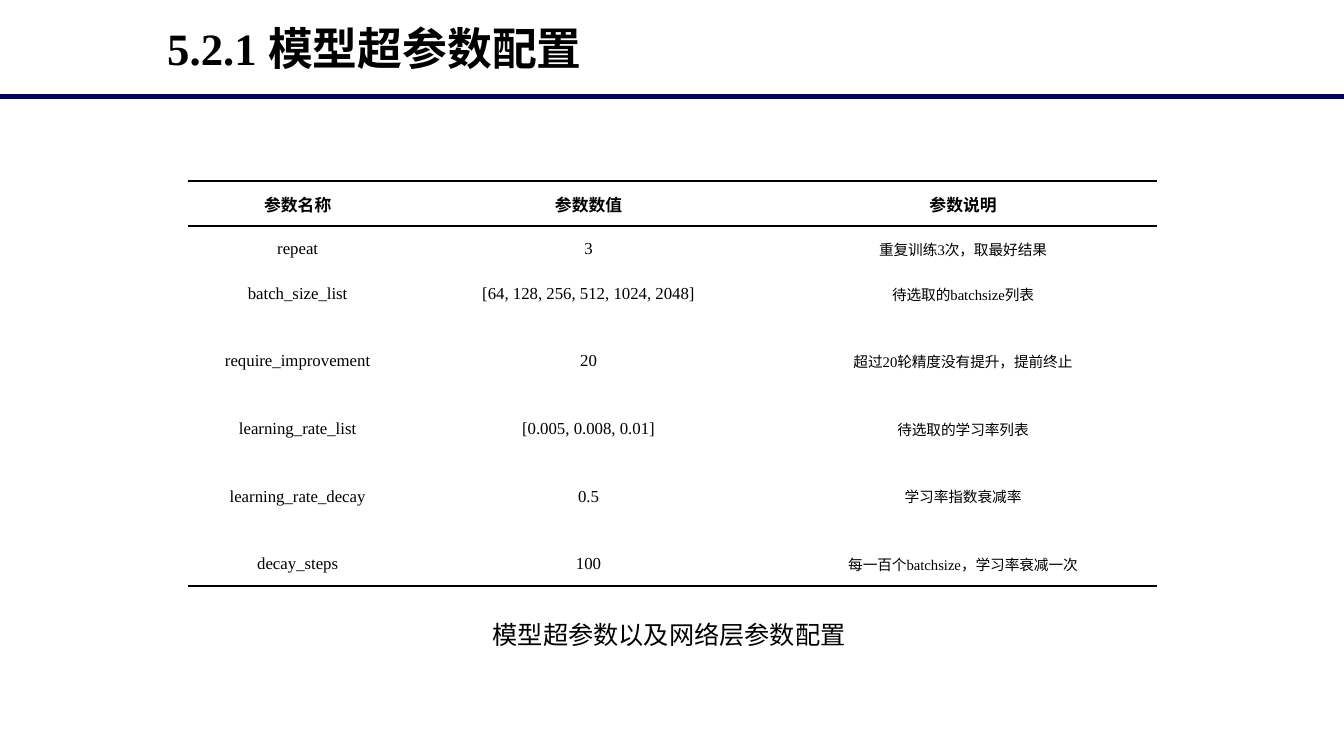
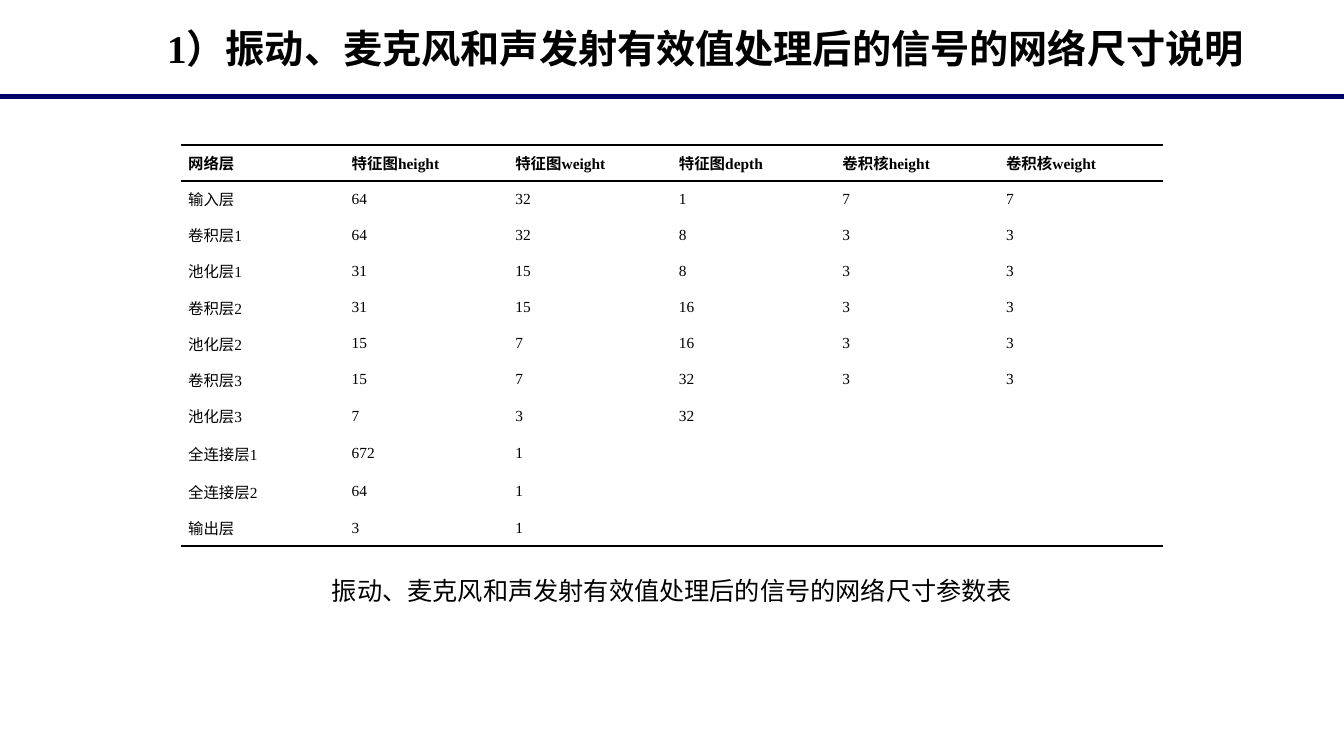
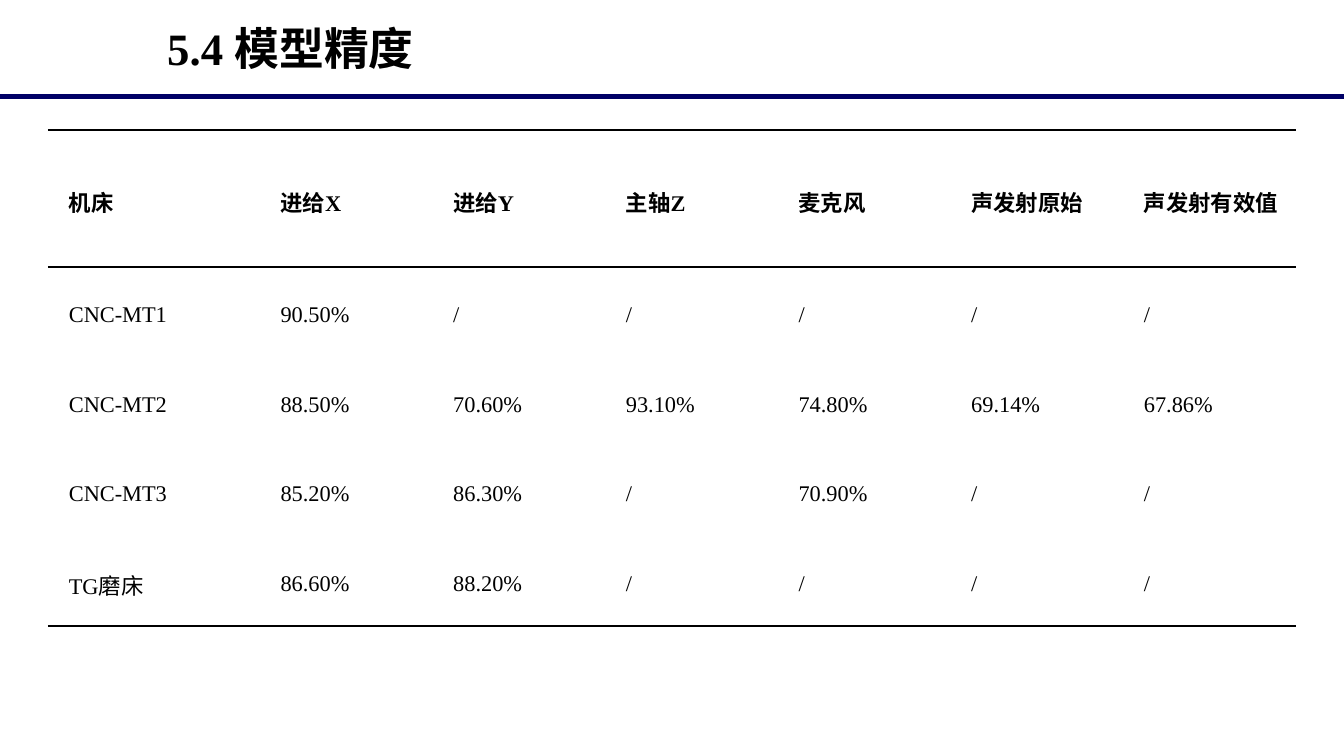
import pptx
import pptx.dml.color
import pptx.enum.shapes
import pptx.enum.text
import pptx.oxml.ns
import pptx.util
from lxml import etree

Pt = pptx.util.Pt
RGBColor = pptx.dml.color.RGBColor
Align = pptx.enum.text.PP_ALIGN
Anchor = pptx.enum.text.MSO_ANCHOR
qn = pptx.oxml.ns.qn

BLACK = RGBColor(0x00, 0x00, 0x00)
NAVY = RGBColor(0x00, 0x00, 0x66)
WHITE = RGBColor(0xFF, 0xFF, 0xFF)
SERIF = "Times New Roman"
SANS = "Arial"

SLIDE_WIDTH, SLIDE_HEIGHT = 960, 540
TITLE_BOX = (112.3, 8.6, 840, 51)
RULE_TOP = 69.1
RULE_WEIGHT = 3.25
BORDER_WEIGHT = 1.5
CELL_MARGIN = 5
PLAIN_TABLE_STYLE = "{2D5ABB26-0587-4C30-8999-92F81FD0307C}"

HYPERPARAMETERS = [
    ["参数名称", "参数数值", "参数说明"],
    ["repeat", "3", "重复训练3次，取最好结果"],
    ["batch_size_list", "[64, 128, 256, 512, 1024, 2048]", "待选取的batchsize列表"],
    ["require_improvement", "20", "超过20轮精度没有提升，提前终止"],
    ["learning_rate_list", "[0.005, 0.008, 0.01]", "待选取的学习率列表"],
    ["learning_rate_decay", "0.5", "学习率指数衰减率"],
    ["decay_steps", "100", "每一百个batchsize，学习率衰减一次"],
]
NETWORK_LAYERS = [
    ["网络层", "特征图height", "特征图weight", "特征图depth", "卷积核height", "卷积核weight"],
    ["输入层", "64", "32", "1", "7", "7"],
    ["卷积层1", "64", "32", "8", "3", "3"],
    ["池化层1", "31", "15", "8", "3", "3"],
    ["卷积层2", "31", "15", "16", "3", "3"],
    ["池化层2", "15", "7", "16", "3", "3"],
    ["卷积层3", "15", "7", "32", "3", "3"],
    ["池化层3", "7", "3", "32", "", ""],
    ["全连接层1", "672", "1", "", "", ""],
    ["全连接层2", "64", "1", "", "", ""],
    ["输出层", "3", "1", "", "", ""],
]
ACCURACY = [
    ["机床", "进给X", "进给Y", "主轴Z", "麦克风", "声发射原始", "声发射有效值"],
    ["CNC-MT1", "90.50%", "/", "/", "/", "/", "/"],
    ["CNC-MT2", "88.50%", "70.60%", "93.10%", "74.80%", "69.14%", "67.86%"],
    ["CNC-MT3", "85.20%", "86.30%", "/", "70.90%", "/", "/"],
    ["TG磨床", "86.60%", "88.20%", "/", "/", "/", "/"],
]


def format_text(para, size, font=SERIF, bold=False):
    for span in para.runs:
        span.font.name = font
        span.font.size = Pt(size)
        span.font.bold = bold
        span.font.color.rgb = BLACK


def add_text(slide, area, text, size, font=SERIF, bold=False, align=Align.LEFT, anchor=Anchor.TOP):
    box = slide.shapes.add_textbox(*map(Pt, area))
    box.text_frame.word_wrap = True
    box.text_frame.vertical_anchor = anchor
    para = box.text_frame.paragraphs[0]
    para.text = text
    para.alignment = align
    format_text(para, size, font, bold)


def add_titled_slide(deck, title, size=32):
    slide = deck.slides.add_slide(deck.slide_layouts[6])
    slide.background.fill.solid()
    slide.background.fill.fore_color.rgb = WHITE
    rule = slide.shapes.add_connector(
        pptx.enum.shapes.MSO_CONNECTOR.STRAIGHT, 0, Pt(RULE_TOP), Pt(SLIDE_WIDTH), Pt(RULE_TOP))
    rule.line.color.rgb = NAVY
    rule.line.width = Pt(RULE_WEIGHT)
    etree.SubElement(rule._element.spPr, qn("a:effectLst"))
    add_text(slide, TITLE_BOX, title, size, bold=True, anchor=Anchor.MIDDLE)
    return slide


def add_caption(slide, area, text, font=SERIF):
    add_text(slide, area, text, 18, font, align=Align.CENTER)


def set_borders(cell, sides):
    """Draw the given sides ("T", "B") of a cell and hide the others."""
    properties = cell._tc.get_or_add_tcPr()
    for position, side in enumerate("LRTB"):
        border = etree.Element(qn("a:ln" + side))
        if side in sides:
            border.set("w", str(Pt(BORDER_WEIGHT)))
            fill = etree.SubElement(border, qn("a:solidFill"))
            etree.SubElement(fill, qn("a:srgbClr")).set("val", str(BLACK))
        else:
            border.set("w", "0")
            etree.SubElement(border, qn("a:noFill"))
        properties.insert(position, border)


def add_ruled_table(slide, left, top, widths, heights, rows, size,
                    align=Align.LEFT, indent=0, spacing=None, last_column_size=None):
    """Add a table ruled above and below its header and below its last row."""
    frame = slide.shapes.add_table(
        len(rows), len(widths), Pt(left), Pt(top), Pt(sum(widths)), Pt(sum(heights)))
    table = frame.table
    table._tbl.tblPr.find(qn("a:tableStyleId")).text = PLAIN_TABLE_STYLE
    table.horz_banding = False
    for column, width in zip(table.columns, widths):
        column.width = Pt(width)
    for row, height in zip(table.rows, heights):
        row.height = Pt(height)

    last_row, last_column = len(rows) - 1, len(widths) - 1
    for row_index, texts in enumerate(rows):
        sides = {0: "TB", 1: "T", last_row: "B"}.get(row_index, "")
        for column_index, text in enumerate(texts):
            cell = table.cell(row_index, column_index)
            cell.fill.background()
            set_borders(cell, sides)
            cell.vertical_anchor = Anchor.MIDDLE
            cell.margin_left = cell.margin_right = Pt(CELL_MARGIN)
            cell.margin_top = cell.margin_bottom = 0
            para = cell.text_frame.paragraphs[0]
            para.text = text
            para.alignment = align
            if spacing:
                para.line_spacing = spacing
            if indent:
                para._p.get_or_add_pPr().set("indent", str(Pt(indent)))
            is_note = last_column_size and row_index and column_index == last_column
            format_text(para, last_column_size if is_note else size, bold=row_index == 0)


def add_hyperparameter_slide(deck):
    slide = add_titled_slide(deck, "5.2.1 模型超参数配置")
    single = 32.16
    heights = [single * lines for lines in (1, 1, 1, 2, 1, 2, 1)]
    add_ruled_table(slide, 134.2, 129.5, [157, 258.5, 276.5], heights, HYPERPARAMETERS,
                    12, align=Align.CENTER, last_column_size=10.5)
    add_caption(slide, (338, 438.5, 280, 29), "模型超参数以及网络层参数配置")


def add_network_slide(deck):
    slide = add_titled_slide(deck, "1）振动、麦克风和声发射有效值处理后的信号的网络尺寸说明", 28)
    heights = [25.75] * 7 + [26.85] * 3 + [25.75]
    add_ruled_table(slide, 129.4, 103.6, [116.85] * 6, heights, NETWORK_LAYERS, 11)
    add_caption(slide, (203.5, 407.5, 553, 29),
                "振动、麦克风和声发射有效值处理后的信号的网络尺寸参数表", SANS)


def add_accuracy_slide(deck):
    slide = add_titled_slide(deck, "5.4 模型精度")
    add_ruled_table(slide, 34.2, 92.7, [151.2] + [123.35] * 6, [97.8] + [64.15] * 4,
                    ACCURACY, 16, indent=10, spacing=1.25)


def main():
    deck = pptx.Presentation()
    deck.slide_width, deck.slide_height = Pt(SLIDE_WIDTH), Pt(SLIDE_HEIGHT)
    add_hyperparameter_slide(deck)
    add_network_slide(deck)
    add_accuracy_slide(deck)
    deck.save("out.pptx")


if __name__ == "__main__":
    main()
